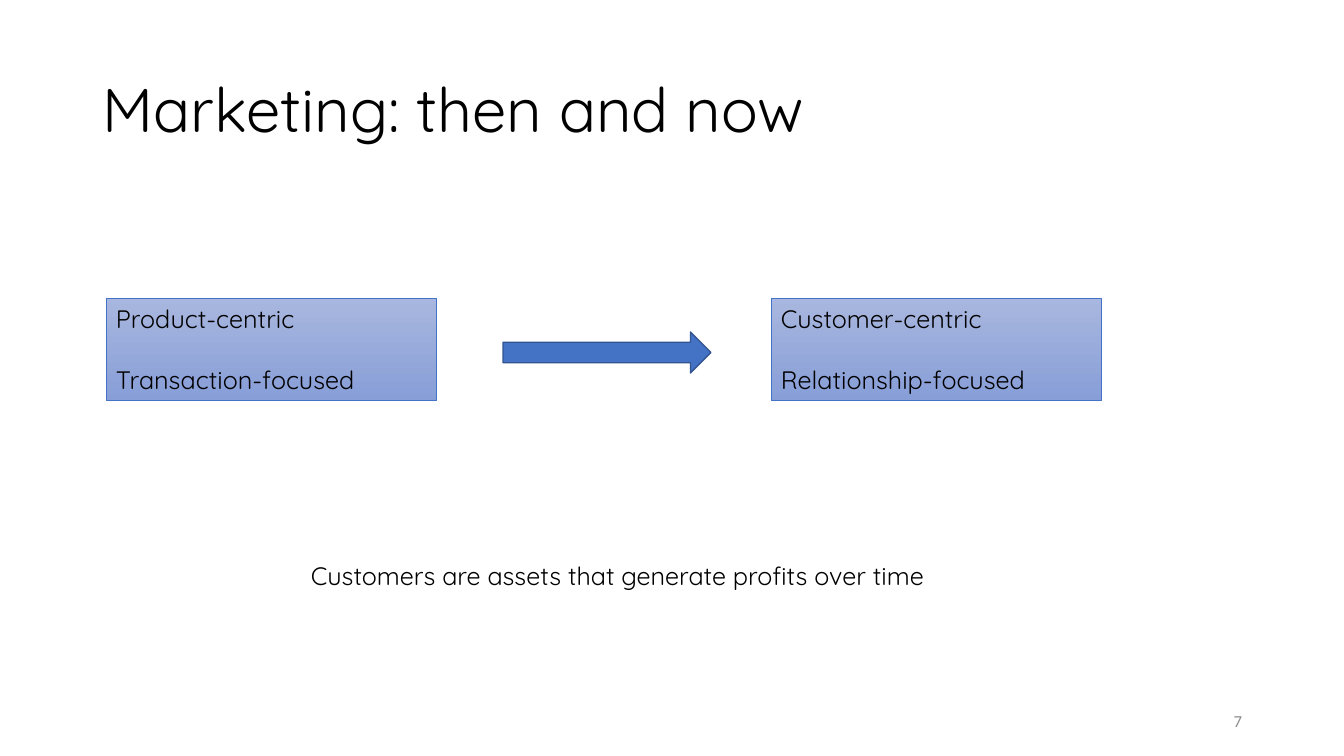
from dataclasses import dataclass

from pptx import Presentation
from pptx.dml.color import RGBColor
from pptx.enum.shapes import MSO_SHAPE
from pptx.enum.text import MSO_ANCHOR, PP_ALIGN
from pptx.util import Pt

PX = 914400 / 100.8
RECTANGLE, RIGHT_ARROW = MSO_SHAPE.RECTANGLE, MSO_SHAPE.RIGHT_ARROW
TOP, MIDDLE = MSO_ANCHOR.TOP, MSO_ANCHOR.MIDDLE
LEFT, RIGHT = PP_ALIGN.LEFT, PP_ALIGN.RIGHT


@dataclass(frozen=True)
class Theme:
    font: str = "Quicksand"
    number_font: str = "Calibri"
    ink: str = "000000"
    muted: str = "8C8C8C"
    accent: str = "4472C4"
    arrow_edge: str = "325491"
    box_gradient: tuple = ("A8B7DF", "889ED7")
    title_size: int = 44
    body_size: int = 18
    number_size: int = 12
    line_gap: int = 22


THEME = Theme()


def px(*lengths):
    return [round(length * PX) for length in lengths]


def write(shape, text, size=THEME.body_size, font=THEME.font,
          color=THEME.ink, anchor=TOP, align=LEFT):
    frame = shape.text_frame
    frame.word_wrap = True
    frame.vertical_anchor = anchor
    frame.text = text
    for paragraph in frame.paragraphs:
        paragraph.alignment = align
        for run in paragraph.runs:
            run.font.size = Pt(size)
            run.font.name = font
            run.font.color.rgb = RGBColor.from_string(color)


prs = Presentation()
prs.slide_width, prs.slide_height = px(1344, 756)
slide = prs.slides.add_slide(prs.slide_layouts[6])
shapes = slide.shapes

title = shapes.add_textbox(*px(93, 40, 1159, 146))
write(title, "Marketing: then and now", THEME.title_size, anchor=MIDDLE)
title.text_frame.paragraphs[0].line_spacing = 0.9

page_number = shapes.add_textbox(*px(950, 701, 302, 40))
write(page_number, "7", THEME.number_size, THEME.number_font, THEME.muted,
      MIDDLE, RIGHT)

eras = [
    (106, "Product-centric\nTransaction-focused"),
    (771, "Customer-centric\nRelationship-focused"),
]
for left, traits in eras:
    era = shapes.add_shape(RECTANGLE, *px(left, 298, 330, 102))
    era.shadow.inherit = False
    era.fill.gradient()
    era.fill.gradient_angle = 270
    for stop, color in zip(era.fill.gradient_stops, THEME.box_gradient):
        stop.color.rgb = RGBColor.from_string(color)
    era.line.color.rgb = RGBColor.from_string(THEME.accent)
    era.line.width = Pt(0.5)
    write(era, traits)
    era.text_frame.paragraphs[1].space_before = Pt(THEME.line_gap)

shift = shapes.add_shape(RIGHT_ARROW, *px(503, 332, 208, 41))
shift.shadow.inherit = False
shift.fill.solid()
shift.fill.fore_color.rgb = RGBColor.from_string(THEME.accent)
shift.line.color.rgb = RGBColor.from_string(THEME.arrow_edge)
shift.line.width = Pt(1)

conclusion = shapes.add_textbox(*px(301, 555, 662, 40))
write(conclusion, "Customers are assets that generate profits over time")

prs.save("out.pptx")
